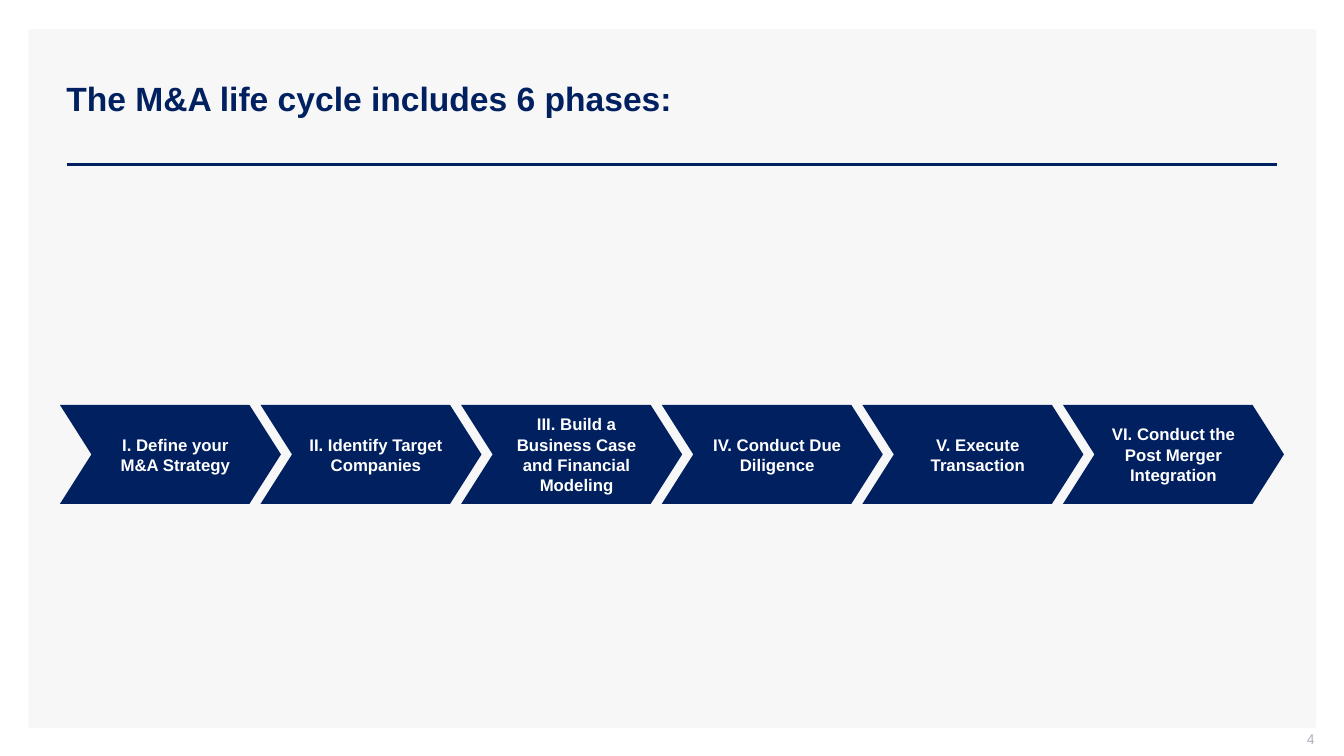
from pptx import Presentation
from pptx.dml.color import RGBColor
from pptx.enum.shapes import MSO_CONNECTOR, MSO_SHAPE
from pptx.enum.text import MSO_ANCHOR, PP_ALIGN
from pptx.oxml.ns import qn
from pptx.util import Pt

RECT, CHEVRON = MSO_SHAPE.RECTANGLE, MSO_SHAPE.CHEVRON
STRAIGHT = MSO_CONNECTOR.STRAIGHT
MIDDLE = MSO_ANCHOR.MIDDLE
LEFT, CENTER, RIGHT = PP_ALIGN.LEFT, PP_ALIGN.CENTER, PP_ALIGN.RIGHT
NAVY, PANEL, WHITE, GREY = "002060", "F7F7F7", "FFFFFF", "ADAFBB"


def rgb(value):
    return RGBColor.from_string(value)


def write(sp, text, size=12, color=WHITE, bold=True, align=CENTER,
          spacing=1.0, insets=(7.2, 3.6, 0, 3.6)):
    tf = sp.text_frame
    tf.word_wrap = True
    tf.vertical_anchor = MIDDLE
    tf.margin_left, tf.margin_top, tf.margin_right, tf.margin_bottom = map(Pt, insets)
    p = tf.paragraphs[0]
    p.alignment = align
    p.line_spacing = spacing
    r = p.add_run()
    r.text = text
    r.font.name = "Arial"
    r.font.size = Pt(size)
    r.font.bold = bold
    r.font.color.rgb = rgb(color)


prs = Presentation()
prs.slide_width, prs.slide_height = Pt(960), Pt(540)
s = prs.slides.add_slide(prs.slide_layouts[6])

# Background panel
panel = s.shapes.add_shape(RECT, Pt(20.2), Pt(20.9), Pt(920), Pt(498.8))
panel.shadow.inherit = False
panel.fill.solid()
panel.fill.fore_color.rgb = rgb(PANEL)
panel.line.fill.background()

# Title and rule below it
title = s.shapes.add_textbox(Pt(40.3), Pt(28.8), Pt(872), Pt(85.7))
write(title, "The M&A life cycle includes 6 phases:", size=24, color=NAVY,
      align=LEFT, spacing=0.9, insets=(7.2, 3.6, 7.2, 3.6))

rule = s.shapes.add_connector(STRAIGHT, Pt(47.7), Pt(117.3), Pt(912.2), Pt(117.3))
rule.line.color.rgb = rgb(NAVY)
rule.line.width = Pt(2)
sp_pr = rule._element.spPr
sp_pr.append(sp_pr.makeelement(qn("a:effectLst"), {}))

# Page number
number = s.shapes.add_textbox(Pt(723), Pt(522), Pt(216), Pt(15.1))
write(number, "4", size=10, color=GREY, bold=False, align=RIGHT,
      insets=(7.2, 0, 0, 3.6))

# Phase chevrons
phases = [
    "I. Define your M&A Strategy",
    "II. Identify Target Companies",
    "III. Build a Business Case and Financial Modeling",
    "IV. Conduct Due Diligence",
    "V. Execute Transaction",
    "VI. Conduct the Post Merger Integration",
]
first_left, step = 42.8, 143.3
for i, phase in enumerate(phases):
    sp = s.shapes.add_shape(CHEVRON, Pt(first_left + i * step), Pt(289.2),
                            Pt(157.9), Pt(70.8))
    sp.adjustments[0] = 0.318
    sp.shadow.inherit = False
    sp.fill.solid()
    sp.fill.fore_color.rgb = rgb(NAVY)
    sp.line.fill.background()
    left_inset = 0 if phase == phases[-1] else 7.2
    write(sp, phase, insets=(left_inset, 3.6, 0, 3.6))

prs.save("out.pptx")
